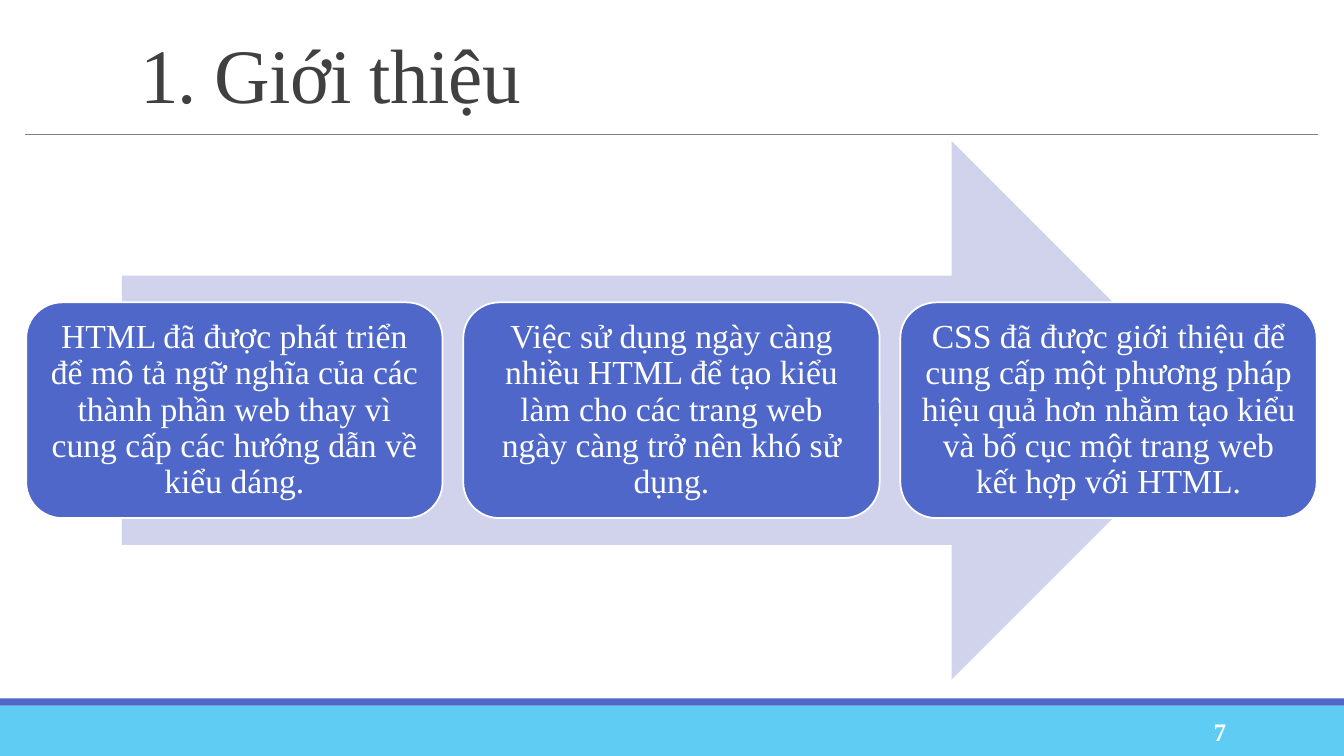
from lxml.etree import SubElement
from pptx import Presentation
from pptx.dml.color import RGBColor
from pptx.enum.shapes import MSO_CONNECTOR, MSO_SHAPE
from pptx.enum.text import MSO_ANCHOR, PP_ALIGN
from pptx.oxml.ns import qn
from pptx.util import Inches, Pt

COLORS = {
    "sky": "5ECCF3",
    "indigo": "4E67C8",
    "lavender": "D0D3EB",
    "rule": "808080",
    "title": "404040",
    "white": "FFFFFF",
}
FONT = "Times New Roman"
STEPS = [
    "HTML đã được phát triển để mô tả ngữ nghĩa của các thành phần web thay vì "
    "cung cấp các hướng dẫn về kiểu dáng.",
    "Việc sử dụng ngày càng nhiều HTML để tạo kiểu làm cho các trang web ngày "
    "càng trở nên khó sử dụng.",
    "CSS đã được giới thiệu để cung cấp một phương pháp hiệu quả hơn nhằm tạo "
    "kiểu và bố cục một trang web kết hợp với HTML.",
]


def add_filled(kind, left, top, width, height, color):
    shape = slide.shapes.add_shape(
        kind, Inches(left), Inches(top), Inches(width), Inches(height))
    shape.shadow.inherit = False
    shape.fill.solid()
    shape.fill.fore_color.rgb = RGBColor.from_string(COLORS[color])
    shape.line.fill.background()
    return shape


def write(shape, text, size, color, align):
    """Fill a shape with one vertically centred paragraph and return it."""
    frame = shape.text_frame
    frame.word_wrap = True
    frame.vertical_anchor = MSO_ANCHOR.MIDDLE
    paragraph = frame.paragraphs[0]
    paragraph.text = text
    paragraph.alignment = align
    paragraph.font.name = FONT
    paragraph.font.size = Pt(size)
    paragraph.font.color.rgb = RGBColor.from_string(COLORS[color])
    return paragraph


prs = Presentation()
prs.slide_width, prs.slide_height = Inches(13.33), Inches(7.5)
slide = prs.slides.add_slide(prs.slide_layouts[6])

# Footer bands and title rule
add_filled(MSO_SHAPE.RECTANGLE, 0, 7, 13.33, 0.5, "sky")
add_filled(MSO_SHAPE.RECTANGLE, 0, 6.93, 13.33, 0.07, "indigo")
title_rule = slide.shapes.add_connector(
    MSO_CONNECTOR.STRAIGHT, Inches(0.25), Inches(1.33), Inches(13.07), Inches(1.33))
title_rule.line.color.rgb = RGBColor.from_string(COLORS["rule"])
title_rule.line.width = Pt(0.5)
SubElement(title_rule._element.spPr, qn("a:effectLst"))

# Title
title = slide.shapes.add_textbox(Inches(1.29), Inches(0.31), Inches(11.78), Inches(0.96))
heading = write(title, "1. Giới thiệu", 55, "title", PP_ALIGN.LEFT)
heading.line_spacing = 0.85
heading.runs[0].font._element.set("spc", "-50")

# Three steps along the arrow
add_filled(MSO_SHAPE.RIGHT_ARROW, 1.21, 1.4, 10.9, 5.34, "lavender")
for i, sentence in enumerate(STEPS):
    step = add_filled(MSO_SHAPE.ROUNDED_RECTANGLE, 0.26 + i * 4.335, 3, 4.13, 2.14, "indigo")
    step.line.color.rgb = RGBColor.from_string(COLORS["white"])
    step.line.width = Pt(1.25)
    frame = step.text_frame
    frame.margin_left = frame.margin_right = Inches(0.1)
    frame.margin_top = frame.margin_bottom = Inches(0.1)
    write(step, sentence, 24, "white", PP_ALIGN.CENTER).line_spacing = 0.9

# Slide number
page = slide.shapes.add_textbox(Inches(10.83), Inches(7.06), Inches(1.43), Inches(0.4))
write(page, "7", 18, "white", PP_ALIGN.RIGHT).font.bold = True

prs.save("out.pptx")
